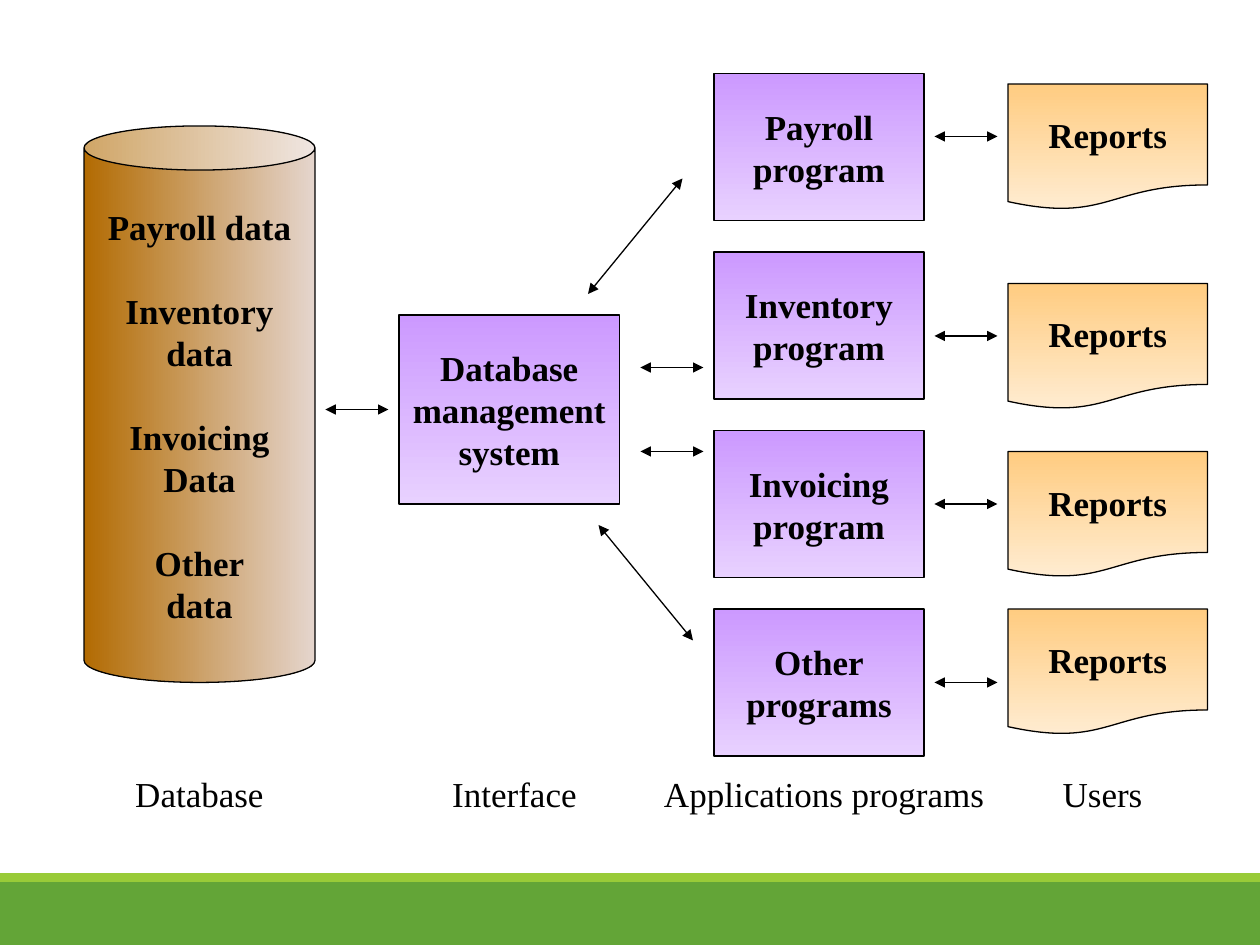
from dataclasses import dataclass

from lxml.etree import SubElement
from pptx import Presentation
from pptx.dml.color import RGBColor
from pptx.enum.shapes import MSO_CONNECTOR as Connector, MSO_SHAPE as Shape
from pptx.enum.text import MSO_ANCHOR as Anchor, PP_ALIGN as Align
from pptx.oxml.ns import qn
from pptx.util import Pt


@dataclass(frozen=True)
class Theme:
    font: str = "Times New Roman"
    size: float = 20
    ink: str = "000000"
    line_width: float = 0.75
    band: str = "63A537"
    stripe: str = "99CB38"
    database: tuple = ("B26B02", "E5D5CD")
    software: tuple = ("CC99FF", "E8D1FF")
    report: tuple = ("FFCC81", "FFECD1")


class Diagram:
    def __init__(self, slide, theme):
        self.slide = slide
        self.theme = theme

    def add_text(self, tf, paragraphs, bold, gap=0):
        """Add centred paragraphs; a newline inside one is a line break."""
        for i, text in enumerate(paragraphs):
            p = tf.add_paragraph() if i else tf.paragraphs[0]
            p.alignment = Align.CENTER
            p.space_before = Pt(gap if i else 0)
            for j, line in enumerate(text.split("\n")):
                if j:
                    p.add_line_break()
                r = p.add_run()
                r.text = line
                r.font.name = self.theme.font
                r.font.size = Pt(self.theme.size)
                r.font.bold = bold
                r.font.color.rgb = RGBColor.from_string(self.theme.ink)

    def band(self, top, height, color):
        sp = self.slide.shapes.add_shape(
            Shape.RECTANGLE, 0, Pt(top), Pt(720), Pt(height))
        sp.shadow.inherit = False
        sp.fill.solid()
        sp.fill.fore_color.rgb = RGBColor.from_string(color)
        sp.line.fill.background()

    def node(self, kind, box, colors, paragraphs, angle=270, gap=0):
        sp = self.slide.shapes.add_shape(kind, *map(Pt, box))
        sp.shadow.inherit = False
        sp.fill.gradient()
        sp.fill.gradient_angle = angle
        for stop, color in zip(sp.fill.gradient_stops, colors):
            stop.color.rgb = RGBColor.from_string(color)
        sp.line.color.rgb = RGBColor.from_string(self.theme.ink)
        sp.line.width = Pt(self.theme.line_width)
        tf = sp.text_frame
        tf.word_wrap = False
        tf.vertical_anchor = Anchor.MIDDLE
        self.add_text(tf, paragraphs, True, gap)
        return sp

    def arrow(self, x1, y1, x2, y2):
        """Draw a straight line with an arrowhead at both ends."""
        cx = self.slide.shapes.add_connector(
            Connector.STRAIGHT, Pt(x1), Pt(y1), Pt(x2), Pt(y2))
        cx.line.color.rgb = RGBColor.from_string(self.theme.ink)
        cx.line.width = Pt(self.theme.line_width)
        sp_pr = cx._element.spPr
        ln = sp_pr.find(qn("a:ln"))
        for end in ("a:headEnd", "a:tailEnd"):
            SubElement(ln, qn(end), type="triangle")
        SubElement(sp_pr, qn("a:effectLst"))

    def caption(self, left, width, text):
        sp = self.slide.shapes.add_textbox(
            Pt(left), Pt(438), Pt(width), Pt(31))
        tf = sp.text_frame
        tf.word_wrap = True
        self.add_text(tf, [text], False)


def main():
    prs = Presentation()
    prs.slide_width, prs.slide_height = Pt(720), Pt(540)
    theme = Theme()
    d = Diagram(prs.slides.add_slide(prs.slide_layouts[6]), theme)

    d.band(504, 36, theme.band)
    d.band(499, 5, theme.stripe)

    database = d.node(
        Shape.CAN, (48, 72, 132, 318), theme.database,
        ["Payroll data", "Inventory\ndata", "Invoicing\nData", "Other\ndata"],
        angle=0, gap=24)
    database.adjustments[0] = 0.191
    d.node(Shape.RECTANGLE, (228, 180, 126, 108), theme.software,
           ["Database", "management", "system"])

    programs = [("Payroll", "program"), ("Inventory", "program"),
                ("Invoicing", "program"), ("Other", "programs")]
    for i, words in enumerate(programs):
        d.node(Shape.RECTANGLE, (408, 42 + 102 * i, 120, 84),
               theme.software, words)

    for top, arrow_y in ((48, 78), (162, 192), (258, 288), (348, 390)):
        d.node(Shape.FLOWCHART_DOCUMENT, (576, top, 114, 72),
               theme.report, ["Reports"])
        d.arrow(534, arrow_y, 570, arrow_y)

    d.arrow(186, 234, 222, 234)
    for y in (210, 258):
        d.arrow(366, y, 402, y)
    d.arrow(336, 168, 390, 102)
    d.arrow(342, 300, 396, 366)

    for left, width, text in ((48, 132, "Database"), (228, 132, "Interface"),
                              (366, 210, "Applications programs"),
                              (564, 132, "Users")):
        d.caption(left, width, text)

    prs.save("out.pptx")


if __name__ == "__main__":
    main()
